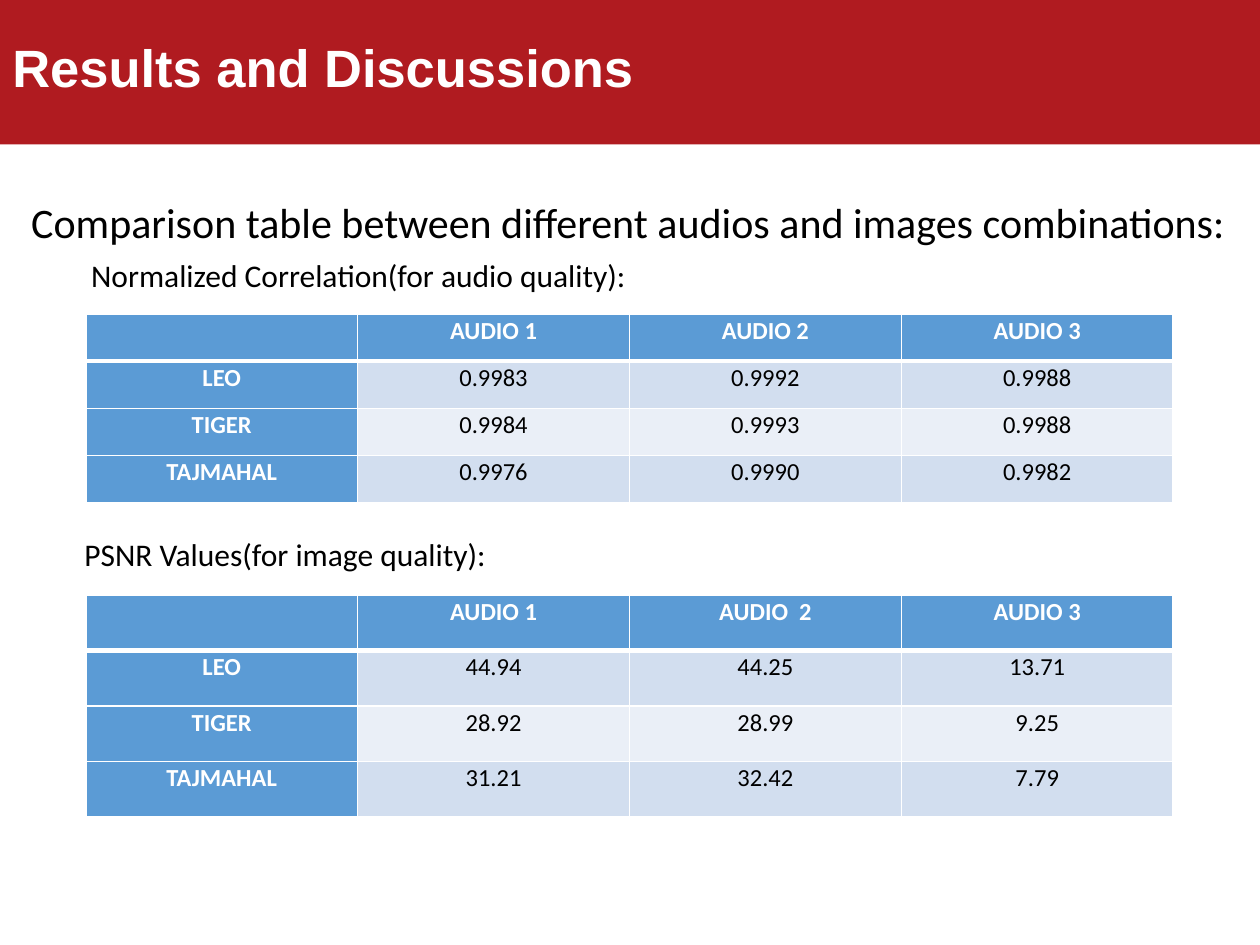
import pptx
import pptx.dml.color
import pptx.enum.shapes
import pptx.enum.text
import pptx.oxml
import pptx.oxml.ns
import pptx.util

Cm, Pt = pptx.util.Cm, pptx.util.Pt
ALIGN = pptx.enum.text.PP_ALIGN

RED, BLUE = "B01B20", "5B9BD5"
WHITE, BLACK = "FFFFFF", "000000"
BANDS = ("D2DEEF", "EAEFF7")

TABLE_LEFT, COLUMN_WIDTH = 1.73, 5.48

CORRELATION = [
    ["", "AUDIO 1", "AUDIO 2", "AUDIO 3"],
    ["LEO", "0.9983", "0.9992", "0.9988"],
    ["TIGER", "0.9984", "0.9993", "0.9988"],
    ["TAJMAHAL", "0.9976", "0.9990", "0.9982"],
]
PSNR = [
    ["", "AUDIO 1", "AUDIO  2", "AUDIO 3"],
    ["LEO", "44.94", "44.25", "13.71"],
    ["TIGER", "28.92", "28.99", "9.25"],
    ["TAJMAHAL", "31.21", "32.42", "7.79"],
]


def rgb(color):
    return pptx.dml.color.RGBColor.from_string(color)


def set_text(tf, text, size, color=BLACK, font="Calibri", bold=False,
             align=ALIGN.LEFT, line_spacing=1.0, space_after=0):
    tf.text = text
    p = tf.paragraphs[0]
    p.alignment = align
    p.line_spacing = line_spacing
    p.space_after = Pt(space_after)
    for r in p.runs:
        r.font.name = font
        r.font.size = Pt(size)
        r.font.bold = bold
        r.font.color.rgb = rgb(color)


def add_title_band(s, text):
    sp = s.shapes.add_shape(pptx.enum.shapes.MSO_SHAPE.RECTANGLE,
                            Cm(0), Cm(-0.23), Cm(25.4), Cm(3.14))
    sp.shadow.inherit = False
    sp.fill.solid()
    sp.fill.fore_color.rgb = rgb(RED)
    sp.line.fill.background()
    tf = sp.text_frame
    tf.vertical_anchor = pptx.enum.text.MSO_ANCHOR.MIDDLE
    set_text(tf, text, 30, WHITE, font="Arial", bold=True)


def add_label(s, text, left, top, width, height, size, **style):
    sp = s.shapes.add_textbox(Cm(left), Cm(top), Cm(width), Cm(height))
    tf = sp.text_frame
    tf.word_wrap = True
    tf.auto_size = pptx.enum.text.MSO_AUTO_SIZE.SHAPE_TO_FIT_TEXT
    set_text(tf, text, size, **style)


def add_borders(cell, top, bottom):
    """Draw white cell borders; top and bottom are widths in points."""
    tc_pr = cell._tc.get_or_add_tcPr()
    for side, width in (("L", 1), ("R", 1), ("T", top), ("B", bottom)):
        tc_pr.append(pptx.oxml.parse_xml(
            f'<a:ln{side} {pptx.oxml.ns.nsdecls("a")} w="{Pt(width)}">'
            f'<a:solidFill><a:srgbClr val="{WHITE}"/></a:solidFill>'
            f'</a:ln{side}>'))


def add_results_table(s, rows, top, row_height):
    n_rows, n_cols = len(rows), len(rows[0])
    table = s.shapes.add_table(
        n_rows, n_cols, Cm(TABLE_LEFT), Cm(top),
        Cm(COLUMN_WIDTH * n_cols), Cm(row_height * n_rows)).table
    for i, row in enumerate(rows):
        for j, text in enumerate(row):
            cell = table.cell(i, j)
            heading = i == 0 or j == 0
            cell.margin_left = cell.margin_right = Cm(0.19)
            cell.margin_top = cell.margin_bottom = 0
            add_borders(cell, top=3 if i == 1 else 1, bottom=3 if i == 0 else 1)
            cell.fill.solid()
            cell.fill.fore_color.rgb = rgb(BLUE if heading else BANDS[(i - 1) % 2])
            set_text(cell.text_frame, text, 14, WHITE if heading else BLACK,
                     bold=heading, align=ALIGN.CENTER,
                     line_spacing=1.07, space_after=8)


def main():
    prs = pptx.Presentation()
    prs.slide_width, prs.slide_height = Cm(25.4), Cm(19.05)
    s = prs.slides.add_slide(prs.slide_layouts[6])

    add_title_band(s, "Results and Discussions")
    add_label(s, "Comparison table between different audios and images combinations:",
              0.38, 3.33, 25.02, 1.63, 24, line_spacing=1.5, space_after=8)
    add_results_table(s, CORRELATION, 6.33, 0.95)
    add_results_table(s, PSNR, 11.99, 1.12)
    add_label(s, "Normalized Correlation(for audio quality):",
              0.6, 5.03, 13.26, 1.02, 18, align=ALIGN.CENTER)
    add_label(s, "PSNR Values(for image quality):",
              -0.79, 10.67, 13.08, 1.02, 18, align=ALIGN.CENTER)

    prs.save("out.pptx")


if __name__ == "__main__":
    main()
